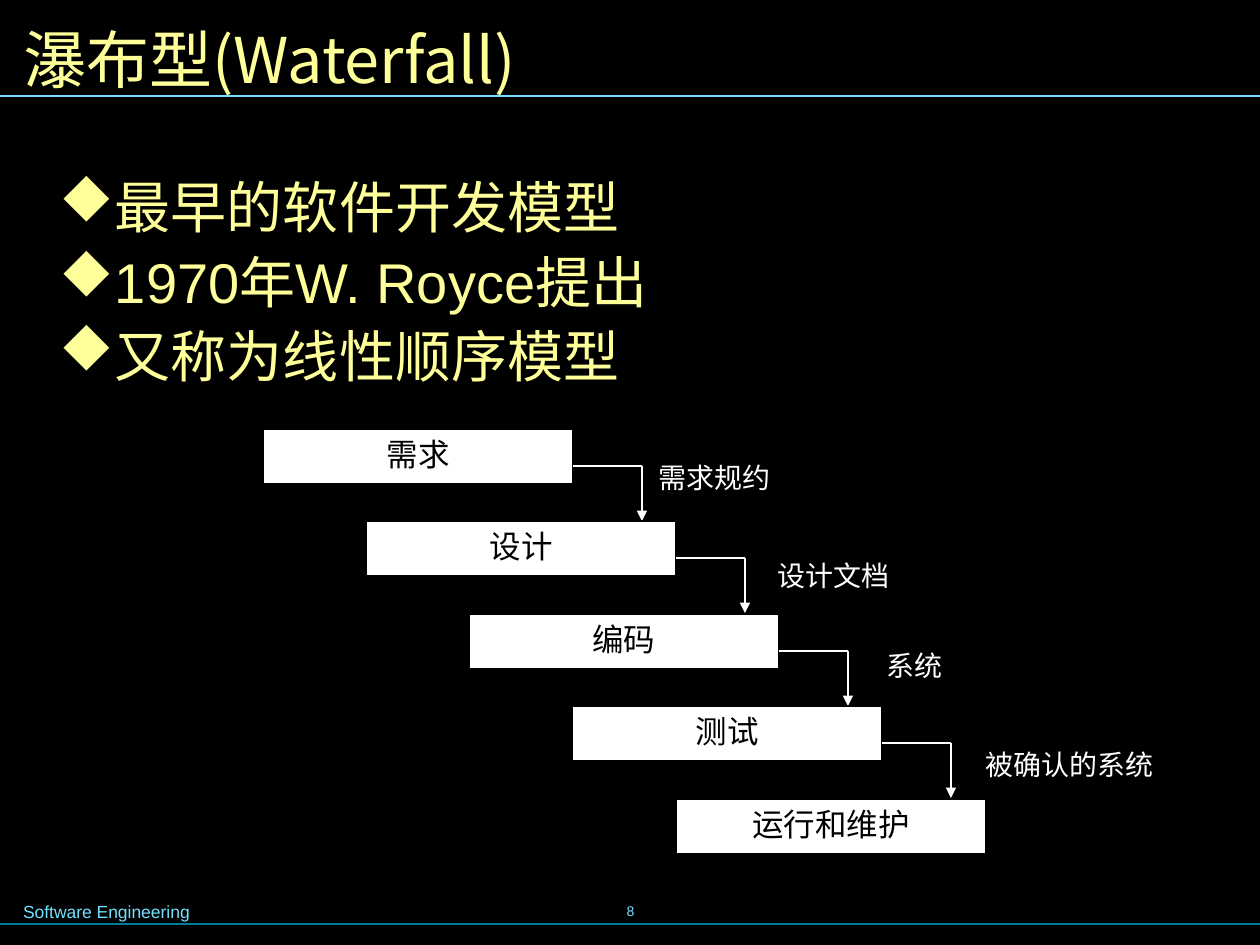
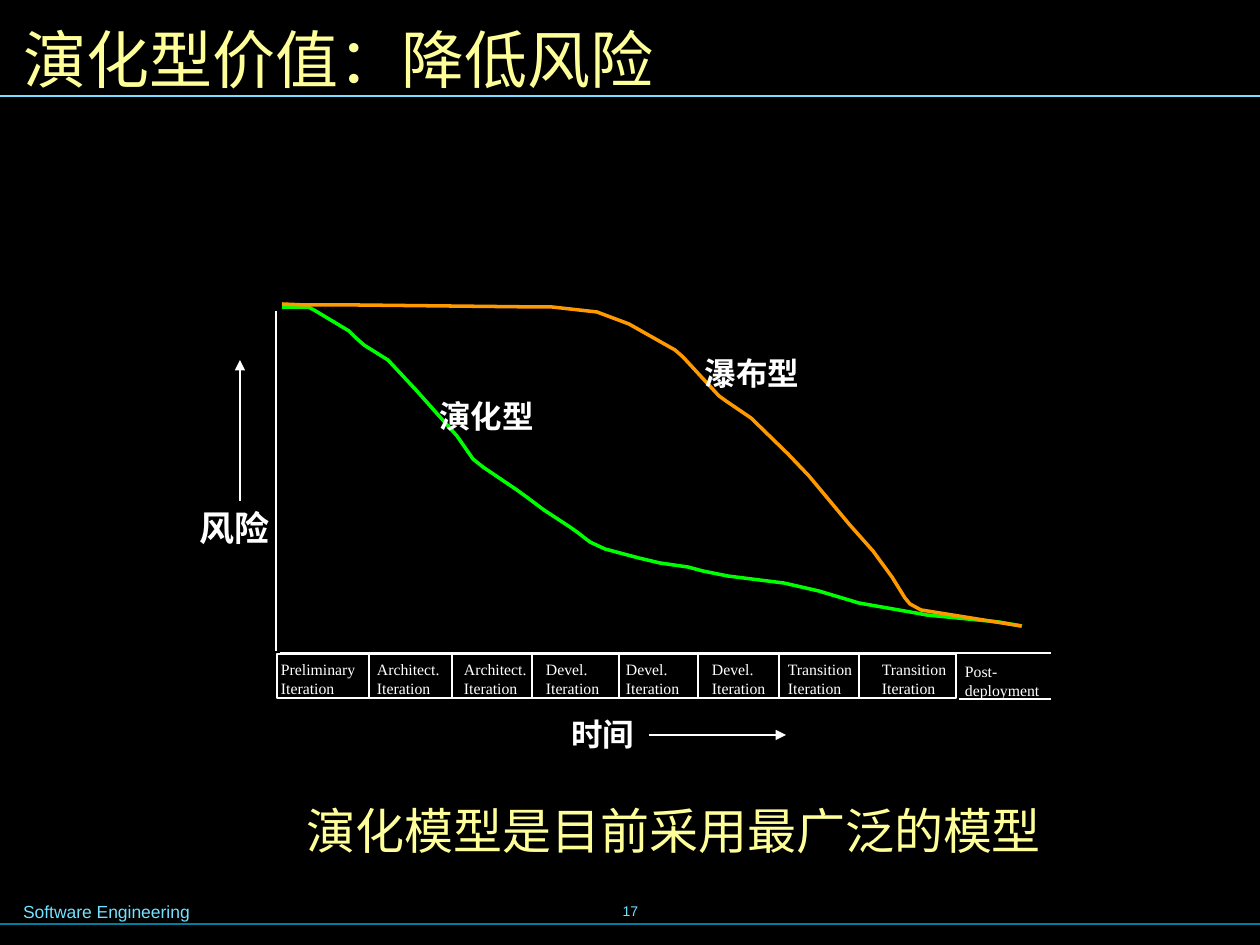
"""Build two software engineering slides: the waterfall model and the risk curves."""
from dataclasses import dataclass

from lxml import etree
from pptx import Presentation
from pptx.dml.color import RGBColor
from pptx.enum.shapes import MSO_CONNECTOR, MSO_SHAPE
from pptx.enum.text import MSO_ANCHOR, MSO_AUTO_SIZE, PP_ALIGN
from pptx.oxml.ns import qn
from pptx.util import Pt

PX = 914400 / 126
STRAIGHT = MSO_CONNECTOR.STRAIGHT
RECT = MSO_SHAPE.RECTANGLE
TOP, MIDDLE = MSO_ANCHOR.TOP, MSO_ANCHOR.MIDDLE
LEFT, CENTER, RIGHT = PP_ALIGN.LEFT, PP_ALIGN.CENTER, PP_ALIGN.RIGHT
NO_FIT, GROW = MSO_AUTO_SIZE.NONE, MSO_AUTO_SIZE.SHAPE_TO_FIT_TEXT


@dataclass(frozen=True)
class Theme:
    back: str = "000000"
    white: str = "FFFFFF"
    yellow: str = "FFFF99"
    cyan: str = "73E1FF"
    teal: str = "007E9F"
    green: str = "00FF00"
    orange: str = "FF9900"
    sans: str = "Arial"
    narrow: str = "Arial Narrow"
    serif: str = "Times New Roman"
    cjk: str = "Noto Sans CJK SC"
    cjk_note: str = "Noto Sans CJK JP"
    symbols: str = "Wingdings"
    title: int = 36
    body: int = 32
    note: int = 28
    axis: int = 20
    label: int = 18
    output: int = 16
    footer: int = 10
    phase: int = 9
    number: int = 8


T = Theme()


def write(s, text, box, sp=None, size=T.label, color=T.white, font=T.serif, ea=T.cjk,
          bold=False, align=LEFT, anchor=TOP, inset=(13, 6), wrap=False,
          bullet=None, before=0, spacing=None):
    sp = sp or s.shapes.add_textbox(0, 0, 0, 0)
    sp.left, sp.top, sp.width, sp.height = (round(v * PX) for v in box)
    tf = sp.text_frame
    tf.word_wrap = wrap
    tf.auto_size = NO_FIT if wrap else GROW
    tf.vertical_anchor = anchor
    tf.margin_left = tf.margin_right = round(inset[0] * PX)
    tf.margin_top = tf.margin_bottom = round(inset[1] * PX)
    for i, line in enumerate(text.split("\n")):
        p = tf.add_paragraph() if i else tf.paragraphs[0]
        if bullet:
            pPr = p._p.get_or_add_pPr()
            pPr.set("marL", str(round(47 * PX)))
            pPr.set("indent", str(round(-47 * PX)))
            clr = etree.SubElement(pPr, qn("a:buClr"))
            etree.SubElement(clr, qn("a:srgbClr"), val=color)
            etree.SubElement(pPr, qn("a:buFont"), typeface=T.symbols, charset="2")
            etree.SubElement(pPr, qn("a:buChar"), char=bullet)
        p.alignment = align
        if i and before:
            p.space_before = Pt(before)
        if spacing:
            p.line_spacing = spacing
        r = p.add_run()
        r.text = line
        r.font.size, r.font.bold, r.font.name = Pt(size), bold, font
        r.font.color.rgb = RGBColor.from_string(color)
        etree.SubElement(r._r.get_or_add_rPr(), qn("a:ea"), typeface=ea)


def connect(s, x1, y1, x2, y2, color=T.white, width=1, arrow=False):
    cx = s.shapes.add_connector(STRAIGHT, *(round(v * PX) for v in (x1, y1, x2, y2)))
    cx.line.color.rgb = RGBColor.from_string(color)
    cx.line.width = Pt(width)
    if arrow:
        etree.SubElement(cx.line._get_or_add_ln(), qn("a:tailEnd"), type="triangle")
    etree.SubElement(cx._element.spPr, qn("a:effectLst"))


prs = Presentation()
prs.slide_width, prs.slide_height = round(1260 * PX), round(945 * PX)
fill = prs.slide_master.background.fill
fill.solid()
fill.fore_color.rgb = RGBColor.from_string(T.back)

slides = []
for title, number, font in [("瀑布型(Waterfall)", "8", T.cjk),
                            ("演化型价值：降低风险", "17", T.narrow)]:
    s = prs.slides.add_slide(prs.slide_layouts[5])
    write(s, title, (10, 11, 1240, 95), sp=s.shapes.title, size=T.title,
          color=T.yellow, font=font, anchor=MIDDLE, wrap=True)
    write(s, number, (431, 879, 399, 63), size=T.number, color=T.cyan, font=T.sans,
          align=CENTER, anchor=MIDDLE, wrap=True)
    write(s, "Software Engineering", (10, 895, 372, 34), size=T.footer, color=T.cyan,
          font=T.sans, wrap=True)
    connect(s, 0, 924, 1260, 924, color=T.teal, width=0.75)
    connect(s, 0, 96, 1260, 96, color=T.cyan, width=0.75)
    slides.append(s)
waterfall, risk = slides

s = waterfall
write(s, "最早的软件开发模型\n1970年W. Royce提出\n又称为线性顺序模型", (44, 165, 1169, 696),
      size=T.body, color=T.yellow, font=T.sans, inset=(15, 8), wrap=True,
      bullet="u", before=4)
for i, stage in enumerate(["需求", "设计", "编码", "测试", "运行和维护"]):
    x, y = 263 + i * 413 // 4, 429 + i * 185 // 2
    sp = s.shapes.add_shape(RECT, 0, 0, 0, 0)
    sp.shadow.inherit = False
    sp.fill.solid()
    sp.fill.fore_color.rgb = RGBColor.from_string(T.white)
    sp.line.color.rgb = RGBColor.from_string(T.back)
    sp.line.width = Pt(0.75)
    write(s, stage, (x, y, 310, 55), sp=sp, color=T.back, align=CENTER, wrap=True)
    if i < 4:
        connect(s, x + 310, y + 37, x + 379, y + 37, width=1.5)
        connect(s, x + 379, y + 37, x + 379, y + 92, width=1.5, arrow=True)
for output, x, y, w in [("需求规约", 644, 453, 144), ("设计文档", 763, 551, 144),
                        ("系统", 872, 641, 88), ("被确认的系统", 971, 740, 200)]:
    write(s, output, (x, y, w, 49), size=T.output, font=T.sans, inset=(15, 8))

s = risk
connect(s, 276, 311, 276, 651)
connect(s, 280, 653, 1051, 653)
evolution = [(282, 307), (308, 307), (314, 310), (349, 331), (355, 337), (364, 345),
             (388, 360), (416, 390), (457, 436), (473, 459), (483, 467), (517, 490),
             (528, 498), (544, 510), (570, 527), (577, 532), (590, 542), (605, 549),
             (639, 558), (660, 563), (688, 567), (703, 571), (728, 576), (784, 583),
             (819, 591), (859, 603), (916, 613), (927, 615), (999, 622), (1022, 626)]
falling = [(282, 304), (305, 305), (357, 305), (538, 307), (552, 307), (597, 312),
           (629, 324), (675, 350), (683, 357), (719, 396), (726, 401), (751, 418),
           (788, 454), (809, 476), (849, 524), (873, 551), (892, 577), (905, 598),
           (910, 604), (921, 610), (1021, 626)]
for points, color in [(evolution, T.green), (falling, T.orange)]:
    curve = s.shapes.build_freeform(*points[0], scale=PX)
    curve.add_line_segments(points[1:], close=False)
    sp = curve.convert_to_shape()
    sp.shadow.inherit = False
    sp.fill.background()
    sp.line.color.rgb = RGBColor.from_string(color)
    sp.line.width = Pt(2)

sp = s.shapes.add_shape(RECT, *(round(v * PX) for v in (277, 654, 679, 44)))
sp.shadow.inherit = False
sp.fill.background()
sp.line.color.rgb = RGBColor.from_string(T.white)
sp.line.width = Pt(1)
for x in (369, 452, 532, 619, 698, 779, 859):
    connect(s, x, 654, x, 698)
connect(s, 959, 699, 1051, 699)
for phase, x, w in [("Preliminary", 272, 96), ("Architect.", 368, 83),
                    ("Architect.", 455, 83), ("Devel.", 537, 75), ("Devel.", 617, 75),
                    ("Devel.", 703, 75), ("Transition", 779, 86), ("Transition", 873, 86)]:
    write(s, phase + "\nIteration", (x, 656, w, 47), size=T.phase, inset=(9, 4))
write(s, "Post-\ndeployment", (952, 656, 104, 50), size=T.phase)

write(s, "风险", (165, 490, 139, 76), size=T.axis, bold=True, align=RIGHT, inset=(34, 17))
for label, x, y, w, inset in [("演化型", 429, 392, 117, (10, 5)),
                              ("瀑布型", 692, 348, 123, (13, 6)),
                              ("时间", 558, 709, 92, (13, 6))]:
    write(s, label, (x, y, w, 50), bold=True, inset=inset)
connect(s, 649, 735, 786, 735, arrow=True)
connect(s, 240, 501, 240, 360, arrow=True)
write(s, "演化模型是目前采用最广泛的模型", (292, 799, 765, 68), size=T.note, color=T.yellow,
      font=T.cjk_note, ea=T.cjk_note, inset=(15, 8), spacing=0.9)

prs.save("out.pptx")
